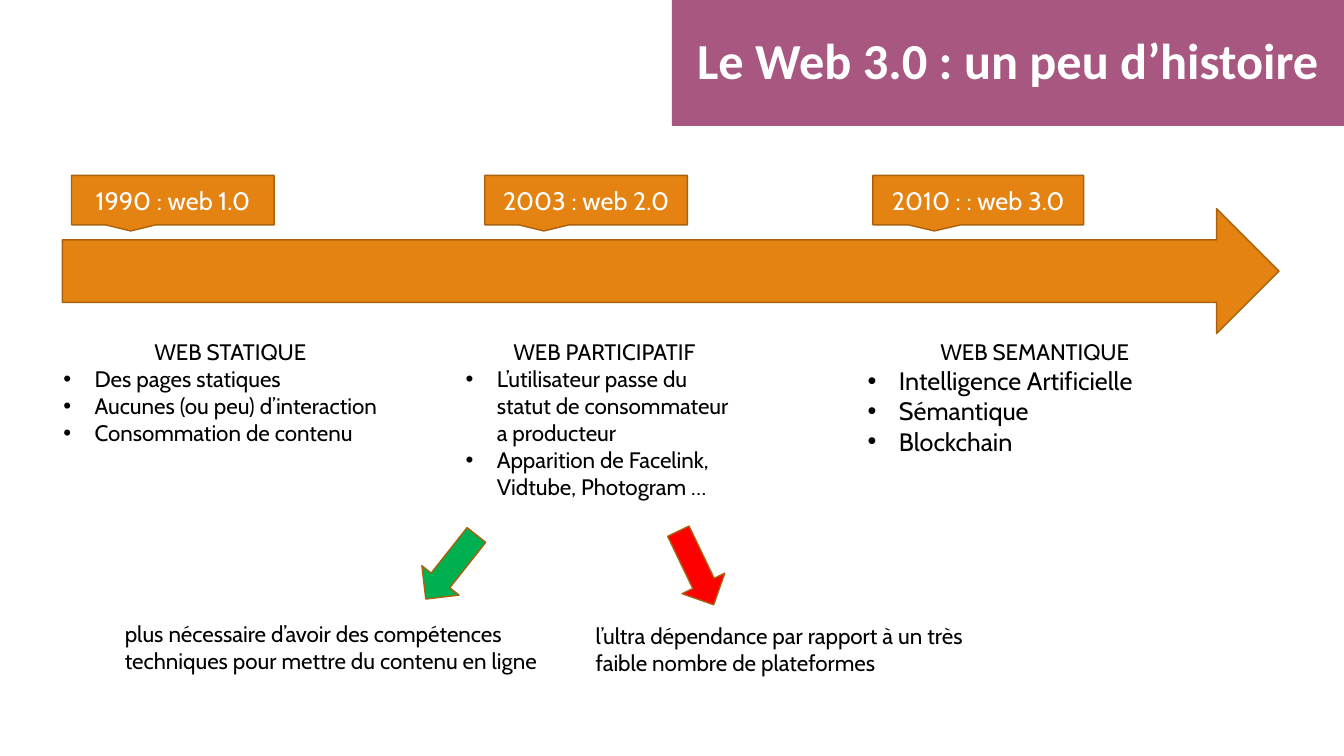
from lxml import etree
from pptx import Presentation
from pptx import util as u
from pptx.dml.color import RGBColor
from pptx.enum import shapes, text
from pptx.oxml.ns import qn

PLUM = RGBColor(0xA7, 0x57, 0x80)
ORANGE = RGBColor(0xE4, 0x83, 0x12)
BROWN = RGBColor(0xA9, 0x61, 0x0D)
GREEN = RGBColor(0x00, 0xB0, 0x50)
RED = RGBColor(0xFF, 0x00, 0x00)
WHITE = RGBColor(0xFF, 0xFF, 0xFF)
BLACK = RGBColor(0x00, 0x00, 0x00)

COLUMNS, ROWS = 40, 30
LEFT, CENTER = text.PP_ALIGN.LEFT, text.PP_ALIGN.CENTER
KIND = shapes.MSO_SHAPE


def write(para, words, size=16, face="Cabin", color=BLACK, bold=False,
          align=LEFT, spacing=None, bullet=False):
    para.alignment = align
    if spacing:
        para.line_spacing = spacing
    if bullet:
        props = para._p.get_or_add_pPr()
        props.set("marL", str(u.Inches(0.31)))
        props.set("indent", str(-u.Inches(0.31)))
        etree.SubElement(props, qn("a:buFont"), typeface="Arial")
        etree.SubElement(props, qn("a:buChar"), char="•")
    span = para.add_run()
    span.text = words
    span.font.size = u.Pt(size)
    span.font.name = face
    span.font.bold = bold
    span.font.color.rgb = color


class TimelineSlide:
    def __init__(self, deck):
        self.page = deck.slides.add_slide(deck.slide_layouts[6])
        self.column = deck.slide_width / COLUMNS
        self.row = deck.slide_height / ROWS

    def place(self, x, y, width, height):
        return (round(x * self.column), round(y * self.row),
                round(width * self.column), round(height * self.row))

    def shape(self, kind, area, fill, line=BROWN, turn=0, words=None, **style):
        box = self.page.shapes.add_shape(kind, *self.place(*area))
        box.shadow.inherit = False
        box.fill.solid()
        box.fill.fore_color.rgb = fill
        if line is None:
            box.line.fill.background()
        else:
            box.line.color.rgb = line
            box.line.width = u.Pt(1)
        box.rotation = turn
        if words:
            frame = box.text_frame
            frame.word_wrap = True
            frame.vertical_anchor = text.MSO_ANCHOR.MIDDLE
            write(frame.paragraphs[0], words, color=WHITE, align=CENTER, **style)

    def textbox(self, area, first, bullets=(), align=LEFT, bullet_size=16):
        frame = self.page.shapes.add_textbox(*self.place(*area)).text_frame
        frame.word_wrap = True
        frame.auto_size = text.MSO_AUTO_SIZE.SHAPE_TO_FIT_TEXT
        write(frame.paragraphs[0], first, align=align)
        for words in bullets:
            write(frame.add_paragraph(), words, size=bullet_size, bullet=True)


def main():
    deck = Presentation()
    deck.slide_width, deck.slide_height = u.Inches(13.33), u.Inches(7.5)
    slide = TimelineSlide(deck)

    slide.shape(KIND.RECTANGLE, (20, 0, 20, 5), PLUM, line=None,
                words="Le Web 3.0 : un peu d’histoire",
                size=36, face="Calibri", bold=True, spacing=0.9)
    slide.shape(KIND.RIGHT_ARROW, (1.86, 8.28, 36.21, 4.96), ORANGE)

    for x, width, label in (
        (2.13, 6.03, "1990 : web 1.0"),
        (14.43, 6.03, "2003 : web 2.0"),
        (25.98, 6.27, "2010 : : web 3.0"),
    ):
        slide.shape(KIND.RECTANGULAR_CALLOUT, (x, 6.96, width, 1.96), ORANGE,
                    words=label, size=18)

    eras = (
        (10.53, 5.8, 16, "WEB STATIQUE",
         ("Des pages statiques", "Aucunes (ou peu) d’interaction",
          "Consommation de contenu")),
        (8.85, 10.08, 16, "WEB PARTICIPATIF",
         ("L’utilisateur passe du statut de consommateur a producteur",
          "Apparition de Facelink, Vidtube, Photogram …")),
        (10.53, 6.32, 18, "WEB SEMANTIQUE",
         ("Intelligence Artificielle", "Sémantique", "Blockchain")),
    )
    for index, (width, height, size, heading, bullets) in enumerate(eras):
        slide.textbox((1.59 + 11.97 * index, 13.24, width, height), heading,
                      bullets, align=CENTER, bullet_size=size)

    for x, y, turn, color in ((12.21, 21.56, 128.3, GREEN),
                              (19.5, 21.6, 64.3, RED)):
        slide.shape(KIND.RIGHT_ARROW, (x, y, 2.43, 1.88), color, turn=turn)

    slide.textbox((3.42, 24.4, 13.26, 3.64),
                  "plus nécessaire d’avoir des compétences techniques "
                  "pour mettre du contenu en ligne")
    slide.textbox((17.43, 24.48, 11.76, 2.56),
                  "l’ultra dépendance par rapport à un très "
                  "faible nombre de plateformes")

    deck.save("out.pptx")


if __name__ == "__main__":
    main()
